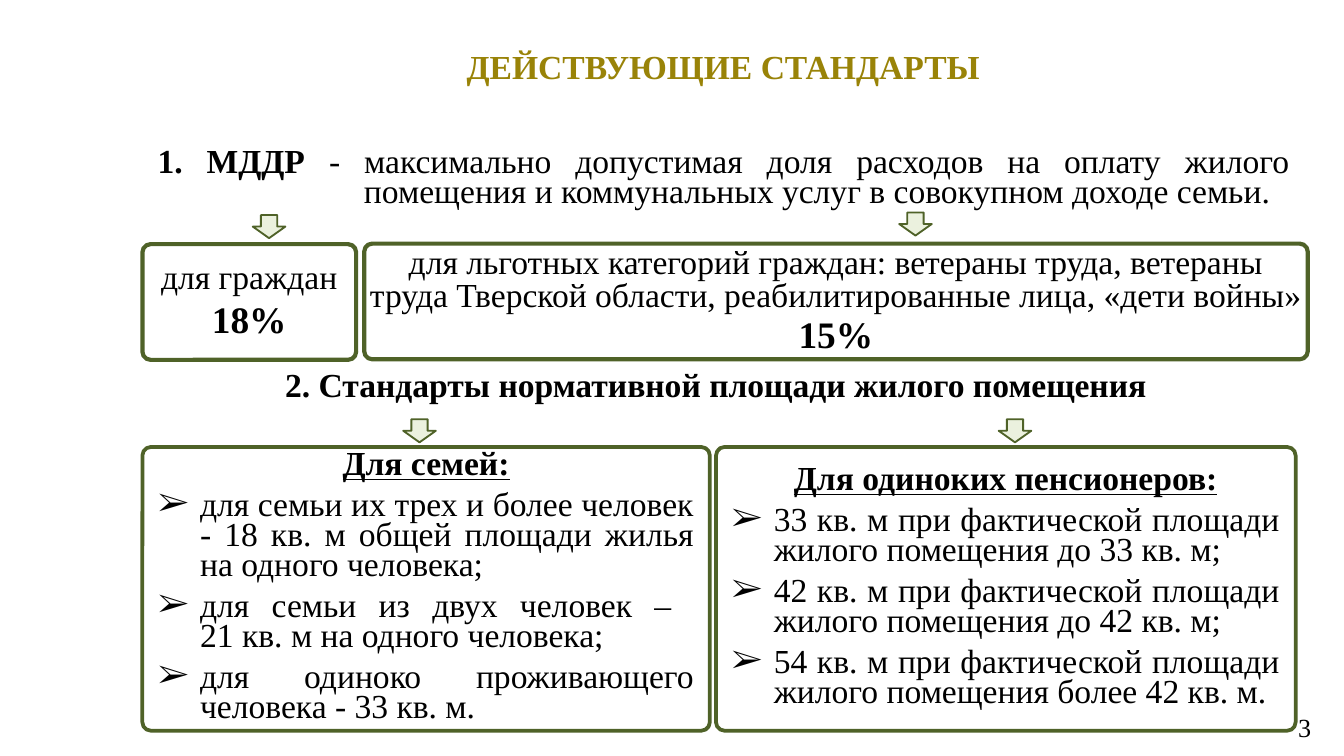
from lxml import etree
from pptx import Presentation
from pptx.dml.color import RGBColor
from pptx.enum.shapes import MSO_SHAPE
from pptx.enum.text import MSO_ANCHOR, PP_ALIGN
from pptx.oxml.ns import qn
from pptx.util import Pt

CENTER, JUSTIFY, RIGHT = PP_ALIGN.CENTER, PP_ALIGN.JUSTIFY, PP_ALIGN.RIGHT
MIDDLE = MSO_ANCHOR.MIDDLE
ROUNDED, DOWN_ARROW = MSO_SHAPE.ROUNDED_RECTANGLE, MSO_SHAPE.DOWN_ARROW
FONT = "Times New Roman"
COLORS = {"title": "998308", "text": "000000", "border": "4F6228",
          "box": "FFFFFF", "arrow": "EBF1DE"}


def add_paragraph(frame, runs, align=CENTER, spacing=None, after=0, hanging=0, bullet=None):
    """Fill the first empty paragraph or append one; runs are (text, size, bold, underline)."""
    paragraph = frame.paragraphs[0]
    if paragraph.runs:
        paragraph = frame.add_paragraph()
    paragraph.alignment = align
    paragraph.space_after = Pt(after)
    if spacing:
        paragraph.line_spacing = Pt(spacing)
    properties = paragraph._p.get_or_add_pPr()
    if hanging:
        properties.set("marL", str(Pt(hanging)))
        properties.set("indent", str(-Pt(hanging)))
    if bullet:
        etree.SubElement(properties, qn("a:buFont")).set("typeface", FONT)
        etree.SubElement(properties, qn("a:buChar")).set("char", bullet)
    for text, size, bold, underline in runs:
        for number, line in enumerate(text.split("\n")):
            if number:
                paragraph.add_line_break()
            run = paragraph.add_run()
            run.text = line
            run.font.name = FONT
            run.font.size = Pt(size)
            run.font.bold = bold
            run.font.underline = underline
            run.font.color.rgb = RGBColor.from_string(COLORS["text"])


def add_outlined(kind, left, top, width, height, fill, line_width):
    shape = slide.shapes.add_shape(kind, Pt(left), Pt(top), Pt(width), Pt(height))
    shape.shadow.inherit = False
    shape.fill.solid()
    shape.fill.fore_color.rgb = RGBColor.from_string(COLORS[fill])
    shape.line.color.rgb = RGBColor.from_string(COLORS["border"])
    shape.line.width = Pt(line_width)
    shape.text_frame.word_wrap = True
    shape.text_frame.vertical_anchor = MIDDLE
    return shape


presentation = Presentation()
presentation.slide_width, presentation.slide_height = Pt(720), Pt(405)
slide = presentation.slides.add_slide(presentation.slide_layouts[5])

# Title
title = slide.shapes.title
title.left, title.top, title.width, title.height = Pt(69), Pt(11.8), Pt(637), Pt(47.5)
title.text_frame.vertical_anchor = MIDDLE
add_paragraph(title.text_frame, [("ДЕЙСТВУЮЩИЕ СТАНДАРТЫ", 18, True, False)])
title.text_frame.paragraphs[0].runs[0].font.color.rgb = RGBColor.from_string(COLORS["title"])

# Section headings and page number: box, insets, alignment, spacing, hanging indent, runs
text_boxes = [
    ((75, 72.7, 625.5, 48.2), (9.4, 5), JUSTIFY, 16, 110.6, [
        ("1. МДДР ", 18, True, False),
        ("- максимально допустимая доля расходов на оплату жилого помещения "
         "и коммунальных услуг в совокупном доходе семьи.", 18, False, False)]),
    ((143.3, 191.4, 489, 32.4), (9.4, 5), JUSTIFY, 18, 92, [
        ("2. Стандарты нормативной площади жилого помещения", 18, True, False)]),
    ((541.5, 378.7, 168, 21.6), (7.2, 3.6), RIGHT, None, 0, [("3", 14, False, False)]),
]
for box, (inset_x, inset_y), align, spacing, hanging, runs in text_boxes:
    frame = slide.shapes.add_textbox(*map(Pt, box)).text_frame
    frame.word_wrap = True
    frame.vertical_anchor = MIDDLE
    frame.margin_left = frame.margin_right = Pt(inset_x)
    frame.margin_top = frame.margin_bottom = Pt(inset_y)
    add_paragraph(frame, runs, align, spacing, hanging=hanging)

# Maximum share of expenses: left, top, width, side inset, group, share, share line spacing
shares = [
    (76.3, 130.8, 114.5, 7.2, "для граждан", "18%", 18),
    (195.1, 130.5, 505.5, 0,
     "для льготных категорий граждан: ветераны труда, ветераны труда Тверской области, "
     "реабилитированные лица, «дети войны»", "15%", 16),
]
for left, top, width, inset, group, share, spacing in shares:
    card = add_outlined(ROUNDED, left, top, width, 62, "box", 2.25)
    card.adjustments[0] = 0.07
    frame = card.text_frame
    frame.margin_left = frame.margin_right = Pt(inset)
    add_paragraph(frame, [(group, 18, False, False)], spacing=18, after=6)
    add_paragraph(frame, [(share, 20, True, False)], spacing=spacing, after=6)

# Floor area standards: left, width, heading, items, space after the last item
standards = [
    (76.3, 304, "Для семей:", [
        "для семьи их трех и более человек - 18 кв. м общей площади жилья на одного человека;",
        "для семьи из двух человек – \n21 кв. м на одного человека;",
        "для одиноко проживающего человека - 33 кв. м."], 6),
    (383.6, 310.5, "Для одиноких пенсионеров:", [
        "33 кв. м при фактической площади жилого помещения до 33 кв. м;",
        "42 кв. м при фактической площади жилого помещения до 42 кв. м;",
        "54 кв. м при фактической площади жилого помещения более 42 кв. м."], 0),
]
for left, width, heading, items, last_after in standards:
    card = add_outlined(ROUNDED, left, 239.5, width, 152, "box", 2)
    card.adjustments[0] = 0.03
    add_paragraph(card.text_frame, [(heading, 18, True, True)], spacing=16, after=6)
    for number, item in enumerate(items, 1):
        after = last_after if number == len(items) else 6
        add_paragraph(card.text_frame, [(item, 18, False, False)], JUSTIFY, 16, after, 22.5, "➢")

# Arrows from each heading down to its cards
for left, top in [(135.4, 115.2), (481.7, 113.8), (216, 224.6), (535, 224.6)]:
    add_outlined(DOWN_ARROW, left, top, 17.5, 12.4, "arrow", 1)

presentation.save("out.pptx")
